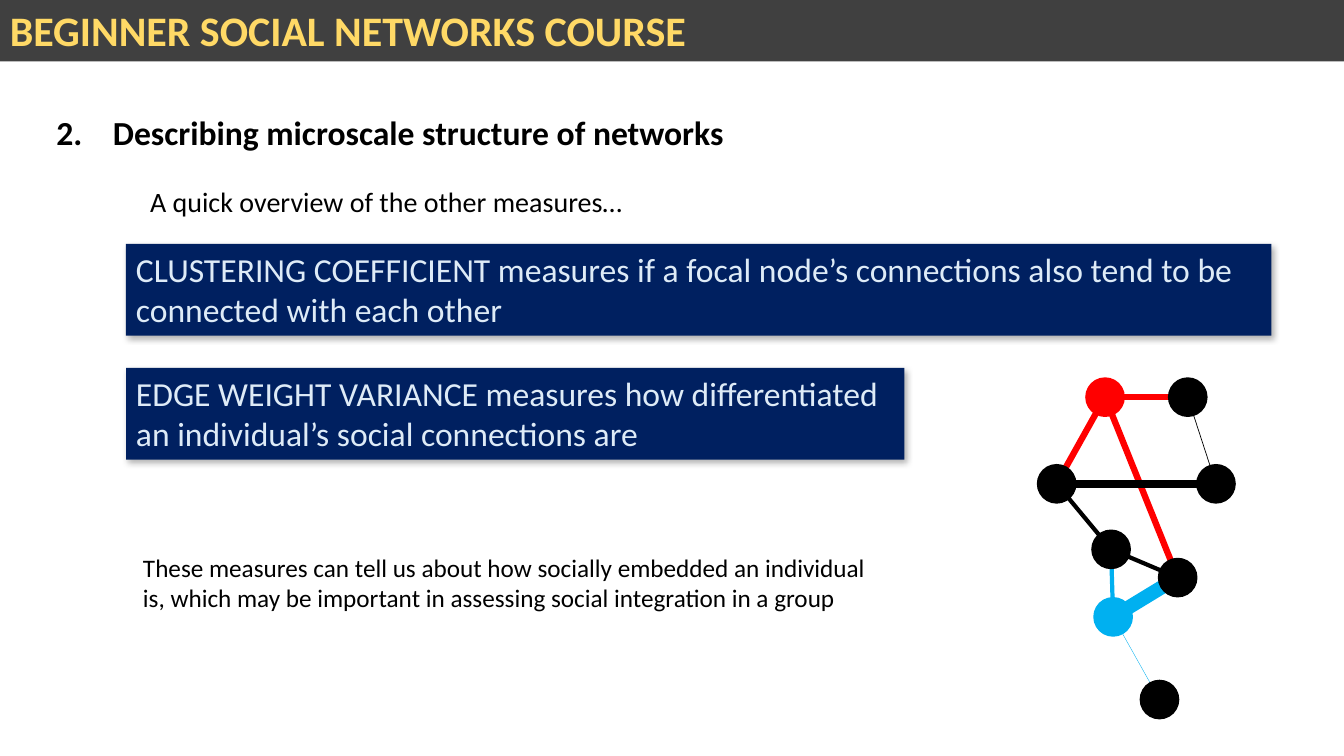
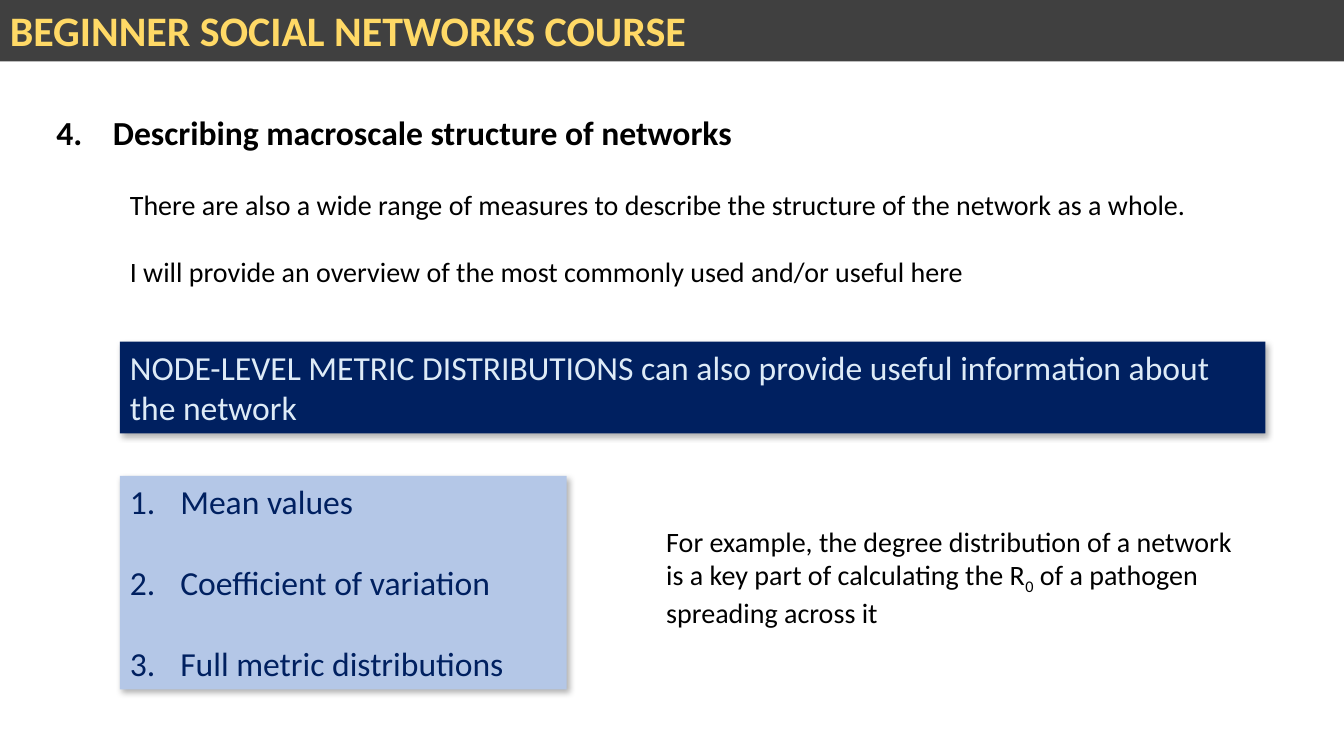
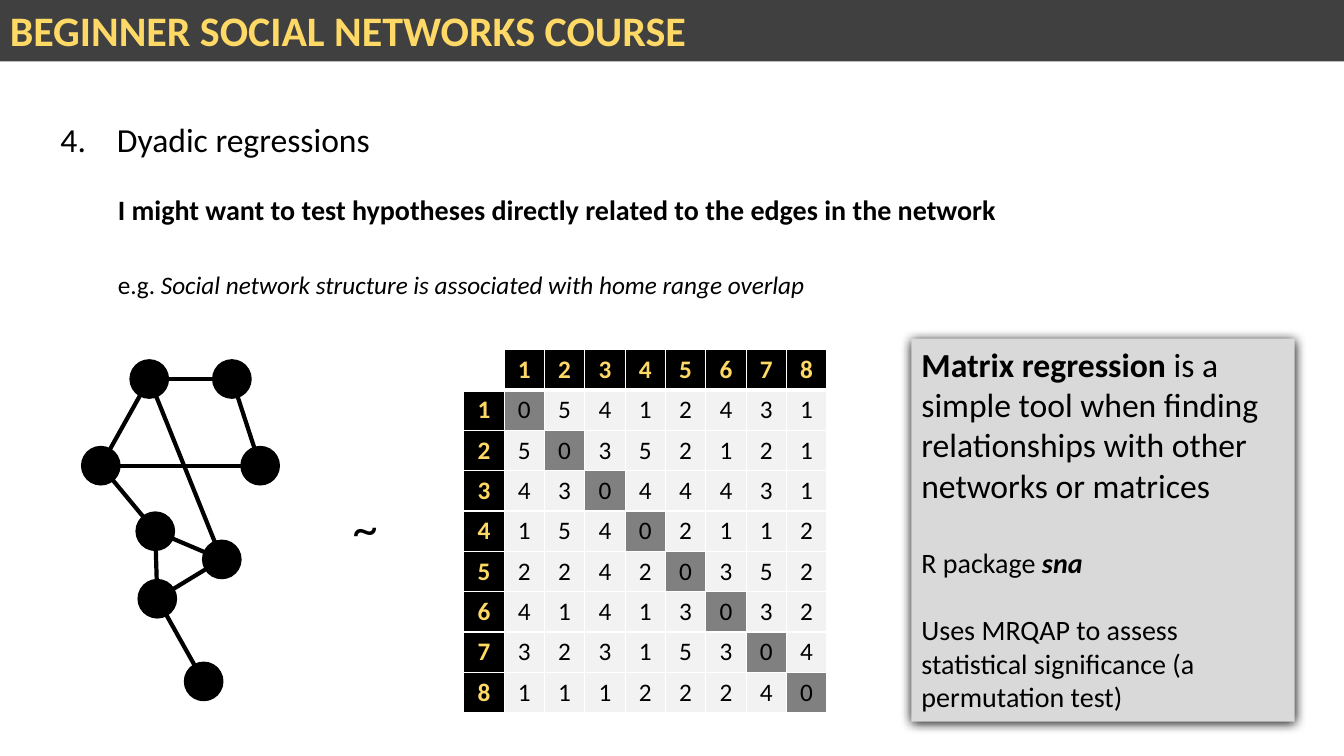
"""Build three slides of a beginner course on social networks."""
from lxml import etree
from pptx import Presentation
from pptx.dml.color import RGBColor
from pptx.enum.shapes import MSO_CONNECTOR, MSO_SHAPE
from pptx.enum.text import MSO_ANCHOR, MSO_AUTO_SIZE, PP_ALIGN
from pptx.oxml.ns import qn
from pptx.util import Emu, Pt

RECTANGLE, ELLIPSE = MSO_SHAPE.RECTANGLE, MSO_SHAPE.OVAL
STRAIGHT = MSO_CONNECTOR.STRAIGHT
TOP, MIDDLE = MSO_ANCHOR.TOP, MSO_ANCHOR.MIDDLE
LEFT, CENTER = PP_ALIGN.LEFT, PP_ALIGN.CENTER
NO_AUTOFIT = MSO_AUTO_SIZE.NONE

PX = 9144
POINT = 12700
FONT = "Calibri"
COLORS = {
    "black": "000000", "white": "FFFFFF", "band": "404040", "gold": "FFD966",
    "navy": "002060", "ice": "DEEBF7", "sky": "B4C7E7", "red": "FF0000",
    "blue": "00B0F0", "silver": "D9D9D9", "grey": "808080", "pale": "F2F2F2",
}
SOFT_SHADOW = {"alpha": 30, "blur": 4.5, "dist": 2.6, "angle": 53}
STRONG_SHADOW = {"alpha": 100, "blur": 8.5, "dist": 1, "angle": 90}
BOLD, ITALIC, PLAIN = {"bold": True}, {"italic": True}, {}

BAND = {"at": (0, 0, 1333, 61), "fill": "band", "size": 30, "color": "gold",
        "text": [[("BEGINNER SOCIAL NETWORKS COURSE", BOLD)]]}
NAVY_BOX = {"fill": "navy", "color": "ice", "size": 24, "shadow": SOFT_SHADOW}
HEADING_TAB = 56
LIST_INDENT = 50

NODE_SIZE = 38
NODES = {"A": (67, 19), "B": (149, 19), "C": (19, 105), "D": (177, 105),
         "E": (73, 170), "F": (139, 198), "G": (75, 237), "H": (121, 319)}
EDGES = ["CA", "AB", "AF", "CD", "BD", "CE", "EG", "EF", "GF", "GH"]
PLAIN_EDGE = ("black", 3)

SLIDES = [
    {
        "heading": {"at": (46, 106, 779, 50), "style": BOLD,
                    "text": "2.\tDescribing microscale structure of networks"},
        "boxes": [
            {"at": (139, 178, 1078, 77), "size": 20,
             "text": [[("A quick overview of the other measures…", PLAIN)]]},
            {**NAVY_BOX, "at": (125, 242, 1136, 91),
             "text": [[("CLUSTERING COEFFICIENT measures if a focal node’s connections "
                        "also tend to be connected with each other", PLAIN)]]},
            {**NAVY_BOX, "at": (125, 365, 772, 91),
             "text": [[("EDGE WEIGHT VARIANCE measures how differentiated an "
                        "individual’s social connections are", PLAIN)]]},
            {"at": (132, 543, 757, 71), "size": 18,
             "text": [[("These measures can tell us about how socially embedded an "
                        "individual is, which may be important in assessing social "
                        "integration in a group", PLAIN)]]},
        ],
        "network": {
            "origin": (1029, 375),
            "nodes": {"A": "red", "G": "blue"},
            "edges": {"CA": ("red", 4.5), "AB": ("red", 4.5), "AF": ("red", 4.5),
                      "CD": ("black", 6), "BD": ("black", 0.5), "EG": ("blue", 3),
                      "GF": ("blue", 10), "GH": ("blue", 0.25)},
        },
    },
    {
        "heading": {"at": (46, 106, 779, 50), "style": BOLD,
                    "text": "4.\tDescribing macroscale structure of networks"},
        "boxes": [
            {"at": (119, 181, 1107, 111), "size": 20, "gaps": [24],
             "text": [[("There are also a wide range of measures to describe the "
                        "structure of the network as a whole.", PLAIN)],
                      [("I will provide an overview of the most commonly used and/or "
                        "useful here", PLAIN)]]},
            {**NAVY_BOX, "at": (119, 339, 1136, 91),
             "text": [[("NODE-LEVEL METRIC DISTRIBUTIONS can also provide useful "
                        "information about the network", PLAIN)]]},
            {"at": (119, 472, 443, 212), "size": 24, "fill": "sky", "color": "navy",
             "shadow": SOFT_SHADOW, "numbered": True, "gaps": [29, 29],
             "text": [[("Mean values", PLAIN)],
                      [("Coefficient of variation", PLAIN)],
                      [("Full metric distributions", PLAIN)]]},
            {"at": (651, 515, 604, 111), "size": 20,
             "text": [[("For example, the degree distribution of a network is a key "
                        "part of calculating the R", PLAIN),
                       ("0", {"baseline": -25}),
                       (" of a pathogen spreading across it", PLAIN)]]},
        ],
    },
    {
        "heading": {"at": (50, 113, 1095, 50), "style": PLAIN,
                    "text": "4.\tDyadic regressions"},
        "boxes": [
            {"at": (107, 186, 1213, 44), "size": 20,
             "text": [[("I might want to test hypotheses directly related to the edges "
                        "in the network", BOLD)]]},
            {"at": (107, 262, 1118, 40), "size": 18,
             "text": [[("e.g. ", PLAIN),
                       ("Social network structure is associated with home range overlap",
                        ITALIC)]]},
            {"at": (340, 487, 93, 71), "size": 36, "text": [[("~", PLAIN)]]},
            {"at": (904, 336, 380, 380), "size": 20, "fill": "silver",
             "shadow": STRONG_SHADOW, "gaps": [29, 24],
             "text": [[("Matrix regression ", {"bold": True, "size": 24}),
                       ("is a simple tool when finding relationships with other "
                        "networks or matrices", {"size": 24})],
                      [("R package ", PLAIN), ("sna", {**BOLD, **ITALIC})],
                      [("Uses MRQAP to assess statistical significance "
                        "(a permutation test)", PLAIN)]]},
        ],
        "network": {"origin": (81, 357), "nodes": {}, "edges": {}},
        "matrix": {
            "at": (460, 347), "cell": 40,
            "rows": ["05412431", "50352121", "43044431", "15402112",
                     "22420352", "41413032", "32315304", "11122240"],
        },
    },
]


def px(*lengths):
    return [Emu(length * PX) for length in lengths]


def rgb(name):
    return RGBColor.from_string(COLORS[name])


def add_node(parent, tag, **attributes):
    node = etree.SubElement(parent, qn(tag))
    for key, value in attributes.items():
        node.set(key, str(value))
    return node


def add_span(para, text, size, color, bold=False, italic=False, baseline=0):
    span = para.add_run()
    span.text = text
    font = span.font
    font.name, font.size, font.bold, font.italic = FONT, Pt(size), bold, italic
    font.color.rgb = rgb(color)
    if baseline:
        span._r.get_or_add_rPr().set("baseline", str(baseline * 1000))


def add_shadow(shape, alpha, blur, dist, angle):
    effects = shape._element.spPr.find(qn("a:effectLst"))
    outer = add_node(effects, "a:outerShdw", blurRad=int(blur * POINT),
                     dist=int(dist * POINT), dir=angle * 60000,
                     algn="ctr", rotWithShape=0)
    color = add_node(outer, "a:srgbClr", val=COLORS["black"])
    add_node(color, "a:alpha", val=alpha * 1000)


def add_box(page, at, text, size, color="black", fill=None, shadow=None,
            numbered=False, gaps=()):
    if fill:
        box = page.shapes.add_shape(RECTANGLE, *px(*at))
        box.shadow.inherit = False
        box.fill.solid()
        box.fill.fore_color.rgb = rgb(fill)
        box.line.fill.background()
    else:
        box = page.shapes.add_textbox(*px(*at))
    if shadow:
        add_shadow(box, **shadow)
    frame = box.text_frame
    frame.word_wrap = True
    frame.vertical_anchor = TOP
    for index, spans in enumerate(text):
        para = frame.add_paragraph() if index else frame.paragraphs[0]
        para.alignment = LEFT
        if numbered:
            properties = para._p.get_or_add_pPr()
            properties.set("marL", str(LIST_INDENT * PX))
            properties.set("indent", str(-LIST_INDENT * PX))
            add_node(properties, "a:buFont", typeface="+mj-lt")
            add_node(properties, "a:buAutoNum", type="arabicPeriod")
        if index and gaps:
            para.space_before = Pt(gaps[index - 1])
        for words, style in spans:
            add_span(para, words, **{"size": size, "color": color, **style})
    return box


def add_heading(page, at, text, style):
    title = page.shapes.title
    title.left, title.top, title.width, title.height = px(*at)
    frame = title.text_frame
    frame.word_wrap = True
    frame.auto_size = NO_AUTOFIT
    frame.vertical_anchor = TOP
    para = frame.paragraphs[0]
    tabs = add_node(para._p.get_or_add_pPr(), "a:tabLst")
    add_node(tabs, "a:tab", pos=HEADING_TAB * PX, algn="l")
    para.alignment = LEFT
    para.line_spacing = 1.0
    add_span(para, text, 24, "black", **style)


def add_network(page, origin, nodes, edges):
    group = page.shapes.add_group_shape()
    centers = {name: (origin[0] + x, origin[1] + y) for name, (x, y) in NODES.items()}
    for edge in EDGES:
        start, end = edge
        color, weight = edges.get(edge, PLAIN_EDGE)
        link = group.shapes.add_connector(STRAIGHT, *px(*centers[start], *centers[end]))
        link.line.color.rgb = rgb(color)
        link.line.width = Pt(weight)
        add_node(link._element.spPr, "a:effectLst")
    for name, (x, y) in centers.items():
        corner = (x - NODE_SIZE // 2, y - NODE_SIZE // 2)
        dot = group.shapes.add_shape(ELLIPSE, *px(*corner, NODE_SIZE, NODE_SIZE))
        dot.shadow.inherit = False
        dot.fill.solid()
        dot.fill.fore_color.rgb = dot.line.color.rgb = rgb(nodes.get(name, "black"))
        dot.line.width = Pt(1)


def fill_cell(cell, text, fill, color, bold, bottom):
    properties = cell._tc.get_or_add_tcPr()
    for side, weight in (("L", 1), ("R", 1), ("T", 1), ("B", bottom)):
        border = add_node(properties, f"a:ln{side}", w=weight * POINT)
        add_node(add_node(border, "a:solidFill"), "a:srgbClr", val=COLORS["white"])
    cell.fill.solid()
    cell.fill.fore_color.rgb = rgb(fill)
    cell.margin_top = cell.margin_bottom = 0
    cell.vertical_anchor = MIDDLE
    if text:
        para = cell.text_frame.paragraphs[0]
        para.alignment = CENTER
        add_span(para, text, 18, color, bold)


def add_matrix(page, at, cell, rows):
    count = len(rows) + 1
    labels = [str(number) for number in range(1, count)]
    grid = [["", *labels]] + [[label, *row] for label, row in zip(labels, rows)]
    side = count * cell
    table = page.shapes.add_table(count, count, *px(*at, side, side)).table
    table.first_row = table.horz_banding = False
    for line in (*table.columns, ):
        line.width = Emu(cell * PX)
    for line in table.rows:
        line.height = Emu(cell * PX)
    for r, values in enumerate(grid):
        for c, value in enumerate(values):
            header = r == 0 or c == 0
            if header:
                fill = "black" if value else "white"
            else:
                fill = "grey" if r == c else "pale"
            fill_cell(table.cell(r, c), value, fill, "gold" if header else "black",
                      header, 1 if r else 3)


def main():
    deck = Presentation()
    deck.slide_width, deck.slide_height = px(1333, 750)
    layout = deck.slide_layouts[5]
    for index, content in enumerate(SLIDES):
        page = deck.slides.add_slide(layout)
        if index == 0:
            band = add_box(page, **BAND)
            layout.shapes.element.insert(2, band.element)
        add_heading(page, **content["heading"])
        for box in content["boxes"]:
            add_box(page, **box)
        if "network" in content:
            add_network(page, **content["network"])
        if "matrix" in content:
            add_matrix(page, **content["matrix"])
    deck.save("out.pptx")


if __name__ == "__main__":
    main()
